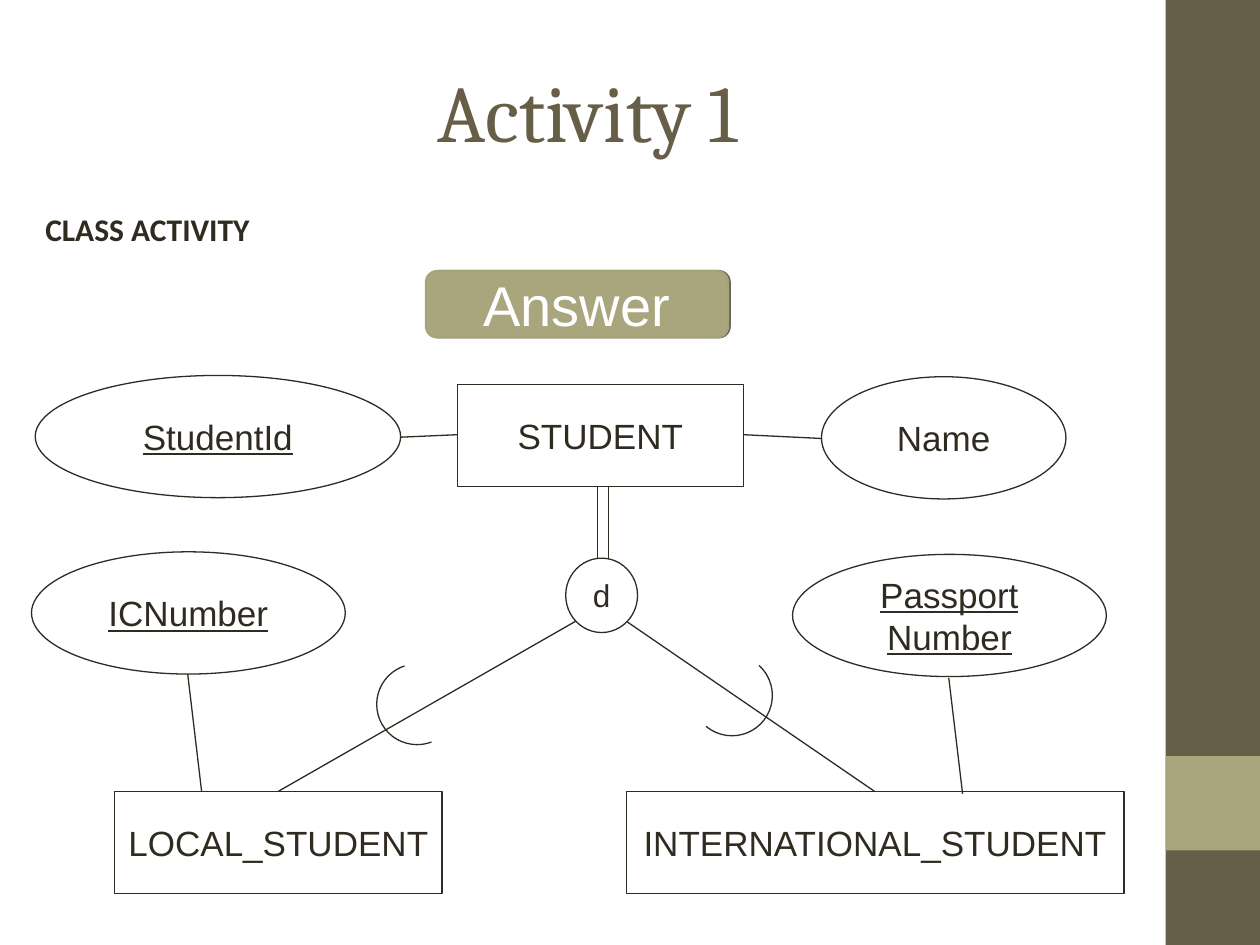
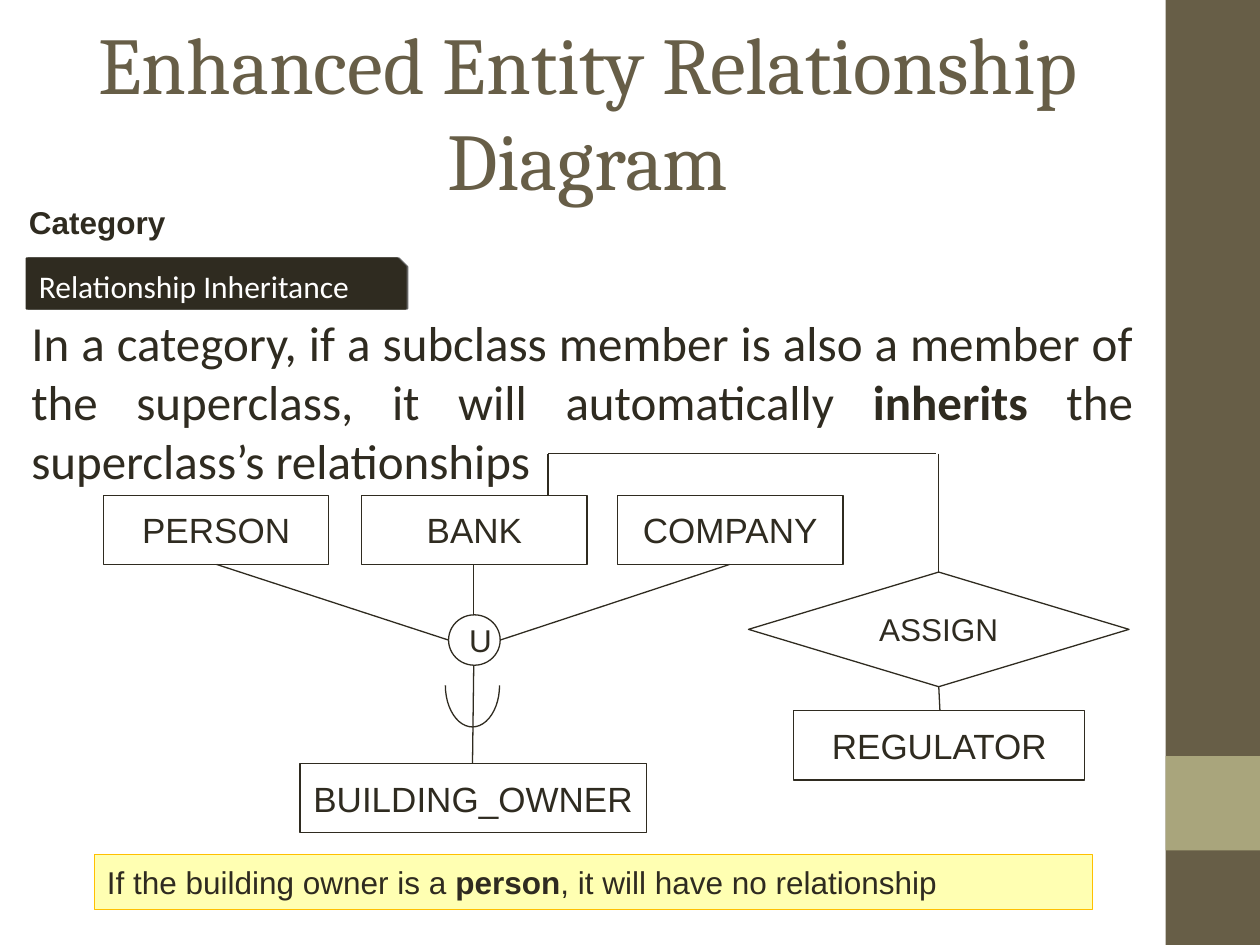
import pptx
import pptx.dml.color
import pptx.enum.shapes
import pptx.enum.text
import pptx.oxml
import pptx.oxml.ns
import pptx.util
from lxml import etree

RGB = pptx.dml.color.RGBColor
PRESET = pptx.enum.shapes.MSO_SHAPE
ALIGN = pptx.enum.text.PP_ALIGN
ANCHOR = pptx.enum.text.MSO_ANCHOR
qn = pptx.oxml.ns.qn

INK = RGB(0x2F, 0x2B, 0x20)
BROWN = RGB(0x67, 0x5E, 0x47)
OLIVE = RGB(0xA9, 0xA5, 0x7C)
OLIVE_EDGE = RGB(0xA6, 0xA2, 0x78)
WHITE = RGB(0xFF, 0xFF, 0xFF)
YELLOW = RGB(0xFF, 0xFF, 0x00)
AMBER = RGB(0xFF, 0xC0, 0x00)

deck = pptx.Presentation()
deck.slide_width = pptx.util.Inches(10)
deck.slide_height = pptx.util.Inches(7.5)

# The slide is a grid of 100 columns by 75 rows
COLUMN = deck.slide_width / 100
ROW = deck.slide_height / 75
THIN = 0.75
SHADOW = (
    '<a:effectLst xmlns:a="http://schemas.openxmlformats.org/drawingml/2006/main">'
    '<a:outerShdw dist="12700" dir="0"><a:srgbClr val="000000"><a:alpha val="60000"/>'
    "</a:srgbClr></a:outerShdw></a:effectLst>"
)


def write(part, text, size, font="Arial", color=INK, align=ALIGN.CENTER,
          anchor=ANCHOR.MIDDLE, wrap=True, insets=(0.1, 0.05), underline=False):
    """Fill a shape with text; stretches between asterisks become bold."""
    frame = part.text_frame
    frame.word_wrap = wrap
    frame.vertical_anchor = anchor
    frame.margin_left = frame.margin_right = pptx.util.Inches(insets[0])
    frame.margin_top = frame.margin_bottom = pptx.util.Inches(insets[1])
    for index, line in enumerate(text.split("\n")):
        paragraph = frame.paragraphs[0] if index == 0 else frame.add_paragraph()
        paragraph.alignment = align
        for position, stretch in enumerate(line.split("*")):
            if stretch:
                run = paragraph.add_run()
                run.text = stretch
                run.font.name = font
                run.font.size = pptx.util.Pt(size)
                run.font.color.rgb = color
                run.font.bold = position % 2 == 1
                run.font.underline = underline


def add_part(slide, preset, box, fill=None, edge=INK, width=THIN):
    """Add a preset shape, or a text box when preset is None, on the grid."""
    left, top, columns, rows = box
    place = [round(length) for length in
             (left * COLUMN, top * ROW, columns * COLUMN, rows * ROW)]
    if preset is None:
        return slide.shapes.add_textbox(*place)
    part = slide.shapes.add_shape(preset, *place)
    part.shadow.inherit = False
    if fill is None:
        part.fill.background()
    else:
        part.fill.solid()
        part.fill.fore_color.rgb = fill
    if edge is None:
        part.line.fill.background()
    else:
        part.line.color.rgb = edge
        part.line.width = pptx.util.Pt(width)
    return part


# Each node: preset, box, text, size, fill, underlined
RECT, OVAL = PRESET.RECTANGLE, PRESET.OVAL
student_nodes = [
    (RECT, (36.3, 30.5, 22.7, 8.1), "STUDENT", 20, None, False),
    (RECT, (9.1, 62.8, 26, 8.1), "LOCAL_STUDENT", 20, None, False),
    (RECT, (49.7, 62.8, 39.5, 8.1), "INTERNATIONAL_STUDENT", 20, None, False),
    (OVAL, (2.8, 29.8, 29, 9.7), "StudentId", 20, None, True),
    (OVAL, (65.2, 29.9, 19.4, 9.7), "Name", 20, None, False),
    (OVAL, (2.5, 43.8, 24.9, 9.7), "ICNumber", 20, None, True),
    (OVAL, (62.9, 44, 24.9, 9.7), "Passport\nNumber", 20, None, True),
    (OVAL, (44.9, 44.3, 5.7, 5.9), "d", 18, WHITE, False),
]
student_lines = [
    (36.3, 34.5, 31.8, 34.7), (59, 34.5, 65.2, 34.8),
    (47.4, 38.6, 47.4, 44.3), (48.3, 38.6, 48.3, 44.4),
    (45.7, 49.3, 22.1, 62.8), (49.7, 49.3, 69.4, 62.8),
    (16, 62.8, 14.9, 53.5), (76.4, 63, 75.3, 53.8),
]
# Each subset arc: centre, radii, start and end angle (clockwise degrees)
student_arcs = [
    (58.1, 55.2, 3.2, 3.2, 312, 130),
    (33.1, 55.9, 3.2, 3.2, 69, 252),
]

superclass_top, entity_height = 39.3, 5.5
category_nodes = [
    (RECT, (left, superclass_top, 17.9, entity_height), name, 20, None, False)
    for left, name in [(8.2, "PERSON"), (28.7, "BANK"), (49, "COMPANY")]
] + [
    (RECT, (23.8, 60.6, 27.5, entity_height), "BUILDING_OWNER", 20, None, False),
    (RECT, (63, 56.4, 23.1, entity_height), "REGULATOR", 20, None, False),
    (PRESET.DIAMOND, (59.4, 45.4, 30.2, 9.1), "ASSIGN", 18, WHITE, False),
    (OVAL, (35.6, 48.8, 4.1, 4), "U", 18, WHITE, False),
]
category_lines = [
    (37.6, 44.8, 37.6, 48.8), (37.6, 52.8, 37.5, 60.6),
    (35.6, 50.8, 17.2, 44.8), (57.9, 44.8, 39.7, 50.8),
    (43.5, 39.3, 43.5, 36), (43.5, 36, 74.3, 36),
    (74.5, 36, 74.5, 45.4), (74.5, 54.4, 74.6, 56.4),
]
category_arcs = [(37.5, 54.4, 2.15, 3.3, 0, 180)]

# Each slide: title, heading, heading font, heading box, nodes, lines, arcs
contents = [
    ("Activity 1", "*CLASS ACTIVITY*", "Calibri", (2.8, 17.2, 19.3, 3.5),
     student_nodes, student_lines, student_arcs),
    ("Enhanced Entity Relationship Diagram", "*Category*", "Arial",
     (1.5, 16.6, 13.3, 3.5), category_nodes, category_lines, category_arcs),
]

for title, heading, heading_font, heading_box, nodes, lines, arcs in contents:
    slide = deck.slides.add_slide(deck.slide_layouts[6])
    add_part(slide, RECT, (92.5, 0, 7.5, 75), BROWN, None)
    add_part(slide, RECT, (92.5, 60, 7.5, 7.5), OLIVE, None)
    write(add_part(slide, None, (5, 2.5, 83.3, 12.5)), title, 46, "Cambria", BROWN)

    heading_part = add_part(slide, None, heading_box)
    write(heading_part, heading, 18, heading_font, align=ALIGN.LEFT,
          anchor=ANCHOR.TOP, wrap=False, insets=(0.08, 0))
    heading_part.text_frame.paragraphs[0].line_spacing = pptx.util.Pt(18)

    for x1, y1, x2, y2 in lines:
        link = slide.shapes.add_connector(
            pptx.enum.shapes.MSO_CONNECTOR.STRAIGHT,
            round(x1 * COLUMN), round(y1 * ROW), round(x2 * COLUMN), round(y2 * ROW))
        link.line.color.rgb = INK
        link.line.width = pptx.util.Pt(THIN)
        etree.SubElement(link._element.spPr, qn("a:effectLst"))

    for x, y, radius_x, radius_y, start, end in arcs:
        arc = add_part(slide, PRESET.ARC,
                       (x - radius_x, y - radius_y, 2 * radius_x, 2 * radius_y))
        # One degree is 60000 units, and an adjustment of 1 is 100000
        arc.adjustments[0] = start * 0.6
        arc.adjustments[1] = end * 0.6

    for preset, box, text, size, fill, underlined in nodes:
        node = add_part(slide, preset, box, fill)
        write(node, text, size, wrap=False, underline=underlined)
        if text == "U":
            node.text_frame.margin_right = 0

activity, category = deck.slides

answer = add_part(activity, PRESET.ROUNDED_RECTANGLE, (33.8, 21.5, 24, 5.3),
                  OLIVE, OLIVE_EDGE, 1)
write(answer, "Answer", 32, color=WHITE)

inheritance = add_part(category, PRESET.SNIP_1_RECTANGLE, (2.1, 20.5, 30.1, 4),
                       INK, INK, 1)
inheritance.adjustments[0] = 0.17
write(inheritance, "Relationship Inheritance", 18, "Calibri", WHITE, ALIGN.LEFT)

for banner in (answer, inheritance):
    properties = banner._element.spPr
    properties.replace(properties.find(qn("a:effectLst")), pptx.oxml.parse_xml(SHADOW))

write(add_part(category, None, (1.5, 24.3, 89.4, 11.8)),
      "In a category, if a subclass member is also a member of the superclass, "
      "it will automatically *inherits* the superclass’s relationships",
      28, "Calibri", align=ALIGN.JUSTIFY, anchor=ANCHOR.TOP)

note = add_part(category, RECT, (7.5, 67.8, 79.2, 4.4), YELLOW, AMBER)
yellow = note._element.spPr.find(qn("a:solidFill"))[0]
etree.SubElement(yellow, qn("a:alpha")).set("val", "30000")
write(note, "If the building owner is a *person*, it will have no relationship",
      18, align=ALIGN.LEFT)

deck.save("out.pptx")
